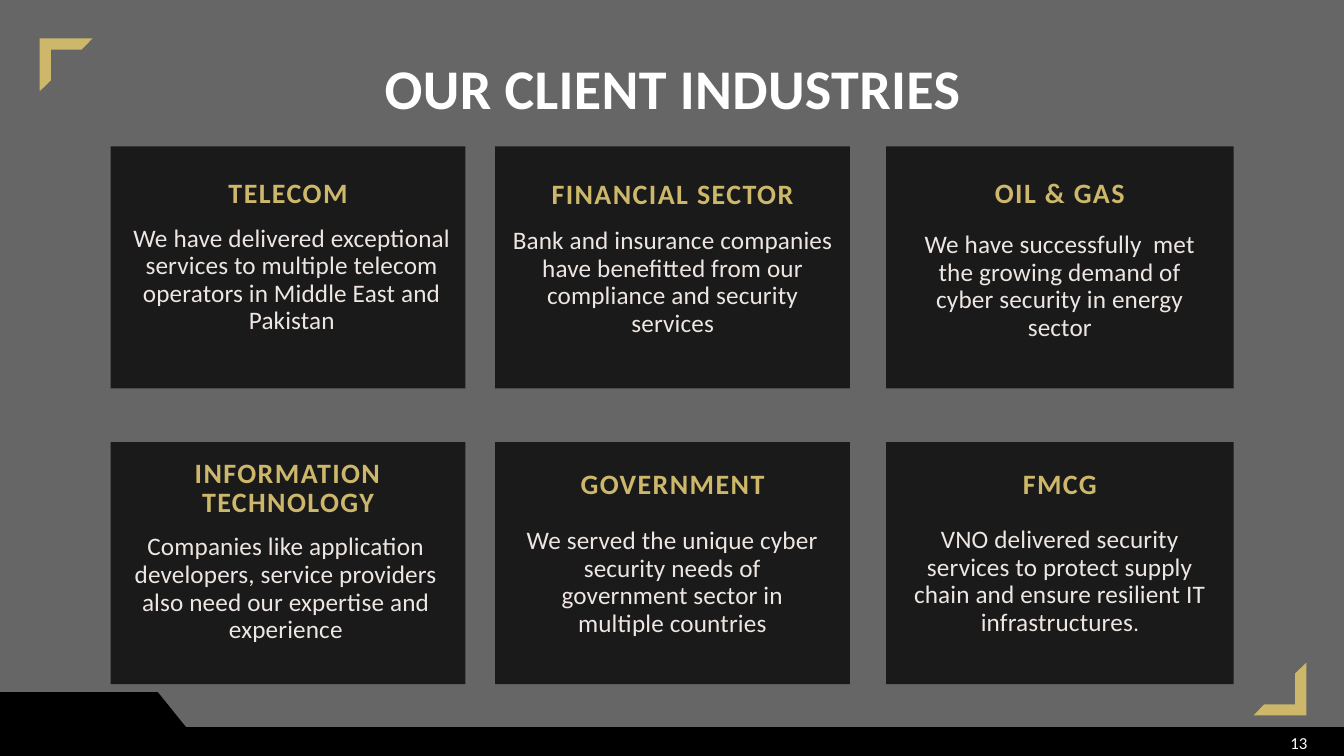
from pptx import Presentation
from pptx.dml.color import RGBColor
from pptx.enum.shapes import MSO_SHAPE
from pptx.enum.text import MSO_ANCHOR, PP_ALIGN
from pptx.util import Cm, Pt

RECT = MSO_SHAPE.RECTANGLE
TOP, MID = MSO_ANCHOR.TOP, MSO_ANCHOR.MIDDLE
CENTER, RIGHT = PP_ALIGN.CENTER, PP_ALIGN.RIGHT
GOLD, CREAM, WHITE, BLACK = "CCB76A", "EDE6E2", "FFFFFF", "000000"
GREY, DARK = "666666", "1A1A1A"


def paint(shape, tint):
    shape.shadow.inherit = False
    shape.fill.solid()
    shape.fill.fore_color.rgb = RGBColor.from_string(tint)
    shape.line.fill.background()


def write(box, place, runs, tint, bold=False, track=0, lead=None,
          align=CENTER, anchor=TOP):
    box.left, box.top, box.width, box.height = [Cm(n) for n in place]
    frame = box.text_frame
    frame.word_wrap = True
    frame.vertical_anchor = anchor
    frame.margin_left = frame.margin_right = 0
    frame.margin_top = frame.margin_bottom = 0
    para = frame.paragraphs[0]
    para.alignment = align
    if lead:
        para.line_spacing = Pt(lead)
    for text, size in runs:
        run = para.add_run()
        run.text = text
        run.font.name = "Calibri"
        run.font.size = Pt(size)
        run.font.bold = bold
        run.font.color.rgb = RGBColor.from_string(tint)
        run._r.get_or_add_rPr().set("spc", str(track))


deck = Presentation()
deck.slide_width, deck.slide_height = Cm(33.87), Cm(19.05)
slide = deck.slides.add_slide(deck.slide_layouts[5])
shapes = slide.shapes
back = slide.background.fill
back.solid()
back.fore_color.rgb = RGBColor.from_string(GREY)

write(shapes.title, (5.72, 1.8, 22.48, 1.32), [("OUR CLIENT INDUSTRIES", 40)],
      WHITE, True, 30, 35.2)

cols = [(2.79, 8.94), (12.48, 8.94), (22.33, 8.76)]
rows = [3.69, 11.14]
cards = [
    ("TELECOM", 4.53, (3.2, 5.66, 8.31),
     [("We have delivered exceptional services to multiple telecom "
       "operators in Middle East and Pakistan", 18)]),
    ("FINANCIAL SECTOR", 4.55, (12.8, 5.72, 8.31),
     [("Bank and insurance companies have benefitted from our "
       "compliance and security services", 18)]),
    ("OIL & GAS", 4.53, (22.94, 5.82, 7.54),
     [("We have successfully  met the growing demand of "
       "cyber security in energy sector", 18)]),
    ("INFORMATION TECHNOLOGY", 11.58, (3.05, 13.44, 8.31),
     [("Companies like application developers, service providers "
       "also need our expertise and experience", 18)]),
    ("GOVERNMENT", 11.86, (13.11, 13.28, 7.67),
     [("We served the unique cyber security needs of "
       "government sector in multiple countries", 18)]),
    ("FMCG", 11.86, (22.94, 13.26, 7.54),
     [("VNO delivered security services to protect supply chain "
       "and ensure resilient IT infrastructures", 18), (".", 16)]),
]
for i, (head, y, (left, top, wide), body) in enumerate(cards):
    x, width = cols[i % 3]
    card = shapes.add_shape(RECT, Cm(x), Cm(rows[i // 3]), Cm(width), Cm(6.1))
    paint(card, DARK)
    write(shapes.add_textbox(0, 0, 0, 0), (x, y, width, 0.69),
          [(head, 20)], GOLD, True, 100, 21)
    write(shapes.add_textbox(0, 0, 0, 0), (left, top, wide, 2.67),
          body, CREAM, False, 10, 19.7)

angle = [(0, 0), (0, 1.33), (0.28, 1.06), (0.28, 0.28), (1.06, 0.28), (1.33, 0)]
band = [(0, 17.46), (3.97, 17.46), (4.68, 18.34), (33.87, 18.34),
        (33.87, 19.05), (0, 19.05)]
forms = [
    (GOLD, [(32.92 - x, 18.03 - y) for x, y in angle]),
    (GOLD, [(1 + x, 0.97 + y) for x, y in angle]),
    (BLACK, band),
]
for tint, points in forms:
    spots = [(Cm(x), Cm(y)) for x, y in points]
    path = shapes.build_freeform(*spots[0])
    path.add_line_segments(spots[1:], close=True)
    form = path.convert_to_shape()
    paint(form, tint)
form.line.color.rgb = RGBColor.from_string(BLACK)
form.line.width = Pt(1)

write(shapes.add_textbox(0, 0, 0, 0), (25.58, 18.21, 7.37, 1.02),
      [("13", 12)], WHITE, align=RIGHT, anchor=MID)

deck.save("out.pptx")
